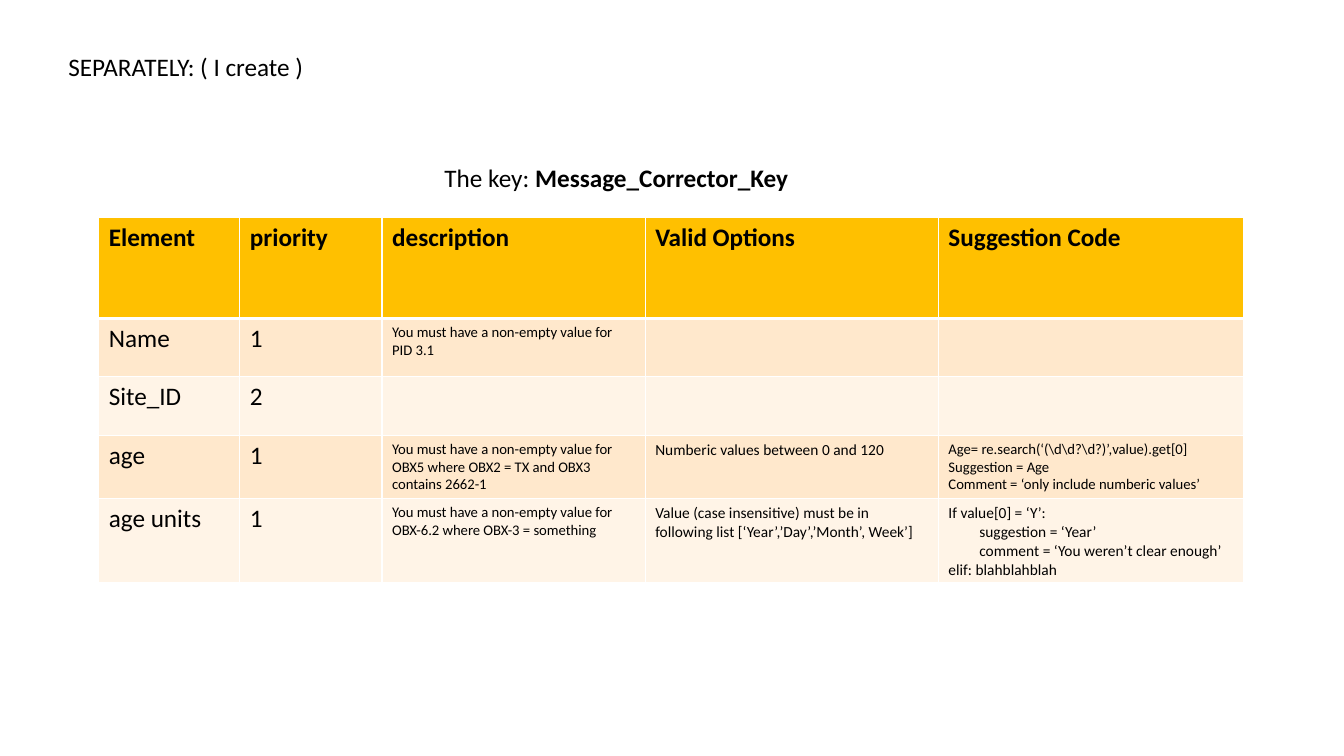
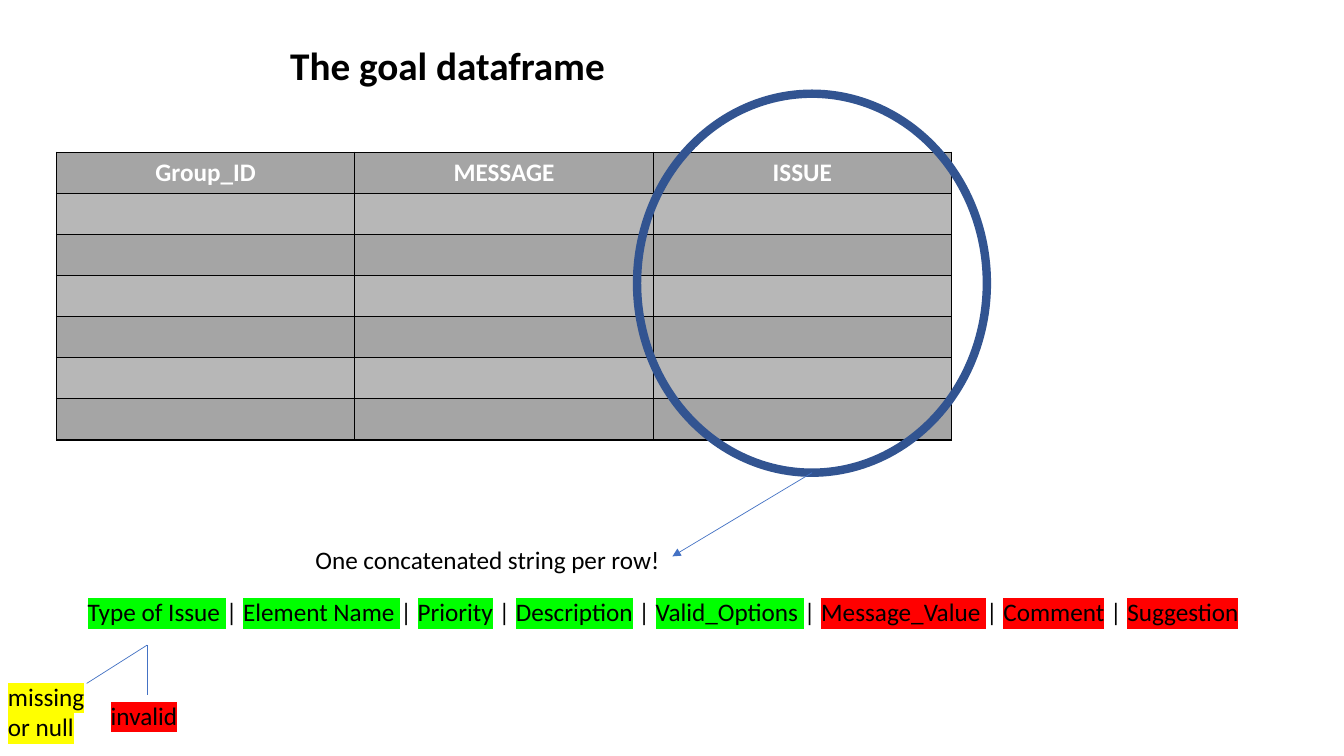
import pptx
import pptx.dml.color
import pptx.enum.dml
import pptx.enum.shapes
import pptx.enum.text
import pptx.oxml
import pptx.oxml.ns
import pptx.util
from dataclasses import dataclass
from lxml import etree

WIDE, HIGH = pptx.util.Inches(13.333), pptx.util.Inches(7.5)
CENTER = pptx.enum.text.PP_ALIGN.CENTER


@dataclass(frozen=True)
class Theme:
    font: str = "Calibri"
    ink: str = "000000"
    paper: str = "FFFFFF"
    gold: str = "FFC000"
    sand: tuple = ("FFE8CC", "FFF4E7")
    gray: tuple = ("B7B7B7", "A5A5A5")
    ring: str = "325491"
    line: str = "4472C4"
    green: str = "00FF00"
    red: str = "FF0000"
    yellow: str = "FFFF00"
    title: float = 28
    body: float = 18
    note: float = 11
    small: float = 10.5


T = Theme()


def wide(share):
    """Length of a percentage of the slide's width."""
    return round(WIDE * share / 100)


def high(share):
    """Length of a percentage of the slide's height."""
    return round(HIGH * share / 100)


def area(left, top, width, height):
    return wide(left), high(top), wide(width), high(height)


def rgb(code):
    return pptx.dml.color.RGBColor.from_string(code)


def node(parent, tag, **attrs):
    return etree.SubElement(parent, pptx.oxml.ns.qn(tag), attrs)


def paint(fill, code):
    fill.solid()
    fill.fore_color.rgb = rgb(code)


def add_run(para, text, mark=None, color=T.ink, **style):
    run = para.add_run()
    run.text = text
    look = {"name": T.font, "size": T.body, "bold": False} | style
    look["size"] = pptx.util.Pt(look["size"])
    for key, value in look.items():
        setattr(run.font, key, value)
    paint(run.font.fill, color)
    if mark:
        props = run.font.fill._xPr
        glow = node(props, "a:highlight")
        node(glow, "a:srgbClr", val=mark)
        props.find(pptx.oxml.ns.qn("a:solidFill")).addnext(glow)


def add_text(slide, place, *runs):
    """Each run is a text and a dict of its format values."""
    frame = slide.shapes.add_textbox(*area(*place)).text_frame
    frame.word_wrap = True
    frame.auto_size = pptx.enum.text.MSO_AUTO_SIZE.SHAPE_TO_FIT_TEXT
    for text, style in runs:
        add_run(frame.paragraphs[0], text, **style)


def edge(cell, color, top=1, base=1):
    props = cell._tc.get_or_add_tcPr()
    sides = {"L": 1, "R": 1, "T": top, "B": base}
    for spot, (side, size) in enumerate(sides.items()):
        line = node(props, "a:ln" + side, w=str(pptx.util.Pt(size)))
        node(node(line, "a:solidFill"), "a:srgbClr", val=color)
        props.insert(spot, line)


def fill_cell(cell, text, align=None, **style):
    """Lines that start with a tab are indented."""
    frame = cell.text_frame
    for spot, line in enumerate(text.split("\n") if text else []):
        para = frame.add_paragraph() if spot else frame.paragraphs[0]
        para.alignment = align
        if line.startswith("\t"):
            para._p.get_or_add_pPr().set("marL", str(pptx.util.Pt(22)))
        add_run(para, line.strip(), **style)


def add_grid(slide, left, top, cols, rows, data, head, bands, border, rule, style):
    """Draw a banded table; style(row, col) gives a cell's text format."""
    place = area(left, top, sum(cols), sum(rows))
    table = slide.shapes.add_table(len(rows), len(cols), *place).table
    table.first_row = table.horz_banding = False
    for col, share in zip(table.columns, cols):
        col.width = wide(share)
    for r, share in enumerate(rows):
        table.rows[r].height = high(share)
        for c in range(len(cols)):
            cell = table.cell(r, c)
            paint(cell.fill, bands[(r - 1) % 2] if r else head)
            edge(cell, border, rule if r == 1 else 1, 1 if r else rule)
            fill_cell(cell, data[r][c], **style(r, c))


def add_ring(slide, place):
    kind = pptx.enum.shapes.MSO_SHAPE.OVAL
    ring = slide.shapes.add_shape(kind, *area(*place))
    ring.shadow.inherit = False
    ring.fill.background()
    paint(ring.line.fill, T.ring)
    ring.line.width = pptx.util.Pt(6)


def add_line(slide, start, end, arrow=False):
    kind = pptx.enum.shapes.MSO_CONNECTOR.STRAIGHT
    ends = [size(share) for point in (start, end)
            for size, share in zip((wide, high), point)]
    link = slide.shapes.add_connector(kind, *ends)
    paint(link.line.fill, T.line)
    link.line.width = pptx.util.Pt(0.5)
    if arrow:
        node(link.line._get_or_add_ln(), "a:tailEnd", type="triangle")
    node(link._element.spPr, "a:effectLst")


def key_slide(slide):
    add_text(slide, (4.35, 6.13, 37.58, 5.33), ("SEPARATELY: ( I create )", {}))
    data = [
        ("Element", "priority", "description", "Valid Options", "Suggestion Code"),
        ("Name", "1", "You must have a non-empty value for PID 3.1", "", ""),
        ("Site_ID", "2", "", "", ""),
        ("age", "1",
         "You must have a non-empty value for OBX5 where OBX2 = TX and OBX3 contains 2662-1",
         "Numberic values between 0 and 120",
         "Age= re.search(‘(\\d\\d?\\d?)’,value).get[0]\nSuggestion = Age\n"
         "Comment = ‘only include numberic values’"),
        ("age units", "1",
         "You must have a non-empty value for OBX-6.2 where OBX-3 = something",
         "Value (case insensitive) must be in following list [‘Year’,’Day’,’Month’, Week’]",
         "If value[0] = ‘Y’:\n\tsuggestion = ‘Year’\n"
         "\tcomment = ‘You weren’t clear enough’\nelif: blahblahblah"),
    ]

    def style(row, col):
        if row == 0 or col < 2:
            return {"bold": row == 0}
        tight = col == 2 or (row, col) == (3, 4)
        return {"size": T.small if tight else T.note}

    add_grid(slide, 7.35, 28.8, (10.5, 10.58, 19.58, 21.82, 22.72),
             (13.33, 7.73, 7.73, 7.73, 6.53), data, T.gold, T.sand, T.paper, 3, style)
    add_text(slide, (32.33, 20.8, 37.58, 5.33),
             ("The key: ", {}), ("Message_Corrector_Key", {"bold": True}))


def goal_slide(slide):
    add_text(slide, (20.85, 4.8, 37.58, 7.6),
             ("The goal dataframe", {"size": T.title, "bold": True}))
    data = [("Group_ID", "MESSAGE", "ISSUE")] + [("", "", "")] * 6
    label = {"align": CENTER, "color": T.paper, "bold": True}
    add_grid(slide, 4.2, 20.13, [22.2] * 3, [5.44] * 7, data,
             T.gray[1], T.gray, T.ink, 1, lambda row, col: label)
    add_ring(slide, (47.4, 12.4, 26.03, 50.13))
    add_line(slide, (60.42, 62.53), (50.03, 73.6), arrow=True)
    add_text(slide, (22.73, 71.33, 34.95, 5.33),
             ("One concatenated string per row!", {}))

    fields = {
        T.green: ("Type of Issue ", "Element Name ", "Priority", "Description",
                  "Valid_Options "),
        T.red: ("Message_Value ", "Comment", "Suggestion"),
    }
    runs = []
    for mark, names in fields.items():
        for name in names:
            if runs:
                runs.append(("| " if runs[-1][0].endswith(" ") else " | ", {}))
            runs.append((name, {"mark": mark}))
    add_text(slide, (5.78, 78.27, 88.5, 5.33), *runs)

    fork = (10.95, 85.33)
    for end in ((6.45, 90.4), (10.95, 91.87)):
        add_line(slide, fork, end)
    add_text(slide, (7.5, 92, 10.8, 5.33), ("invalid", {"mark": T.red}))
    add_text(slide, (-0.15, 89.47, 7.65, 9.47), ("missing or null", {"mark": T.yellow}))


def main():
    deck = pptx.Presentation()
    deck.slide_width, deck.slide_height = WIDE, HIGH
    for build in (key_slide, goal_slide):
        build(deck.slides.add_slide(deck.slide_layouts[6]))
    deck.save("out.pptx")


if __name__ == "__main__":
    main()
